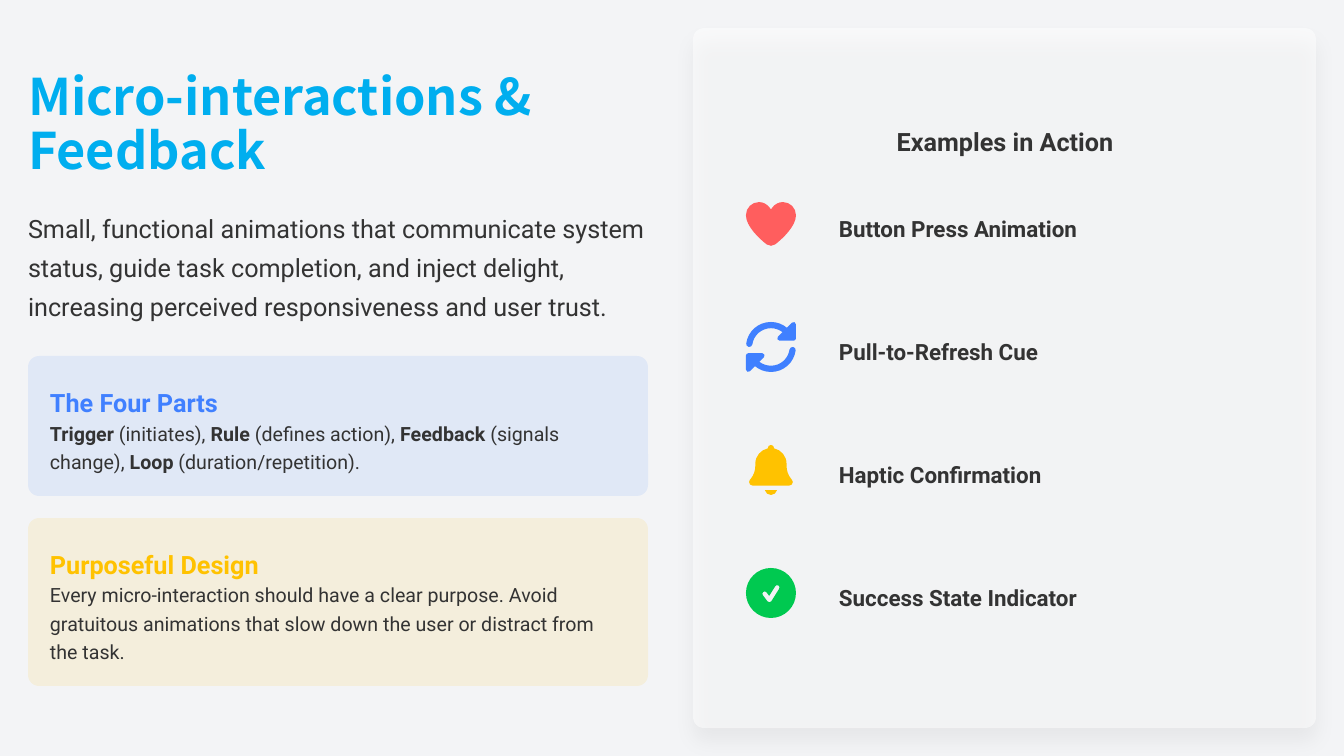
"""Builds a slide on micro-interactions: two tinted notes and a panel of icon examples."""
from lxml import etree
from pptx import Presentation, util as u
from pptx.dml import color as dml
from pptx.enum import shapes, text
from pptx.oxml import ns

PX = 914400 / 100.8
HUE = {
    "page": "F3F4F6", "sky": "00AEEF", "ink": "333333", "blue": "4080FF",
    "gold": "FFC200", "white": "FFFFFF", "red": "FF5E5E", "green": "00C950",
    "black": "000000",
}
SIDE = 50
GRID = 512
NOTES = [
    ("blue", 356, 140, "The Four Parts",
     "*Trigger* (initiates), *Rule* (defines action), *Feedback* (signals change), "
     "*Loop* (duration/repetition)."),
    ("gold", 518, 168, "Purposeful Design",
     "Every micro-interaction should have a clear purpose. Avoid gratuitous animations "
     "that slow down the user or distract from the task."),
]
HEART = """M 241 87 L 256 108 L 271 87 C 296 53 336 32 379 32 C 452 32 512 92 512 165
L 512 168 C 512 280 372 410 299 466 C 287 475 272 480 256 480 C 240 480 225 475 213 466
C 140 410 0 280 0 168 L 0 165 C 0 92 60 32 133 32 C 176 32 216 53 241 87"""
ARROW = """M 480 192 L 488 192 C 501 192 512 181 512 168 L 512 24 C 512 14 506 6 497 2
C 488 0 478 0 471 7 L 419 59 C 375 22 318 0 256 0 C 127 0 20 95 3 220
C 0 237 12 253 30 256 C 47 258 63 246 66 229 C 79 136 159 64 256 64
C 300 64 341 79 374 104 L 327 151 C 320 158 318 168 322 177 C 326 186 334 192 344 192
L 480 192"""
TURNED = " ".join(t if t.isalpha() else str(GRID - int(t)) for t in ARROW.split())
BELL = """M 256 0 C 238 0 224 14 224 32 L 224 35 C 151 50 96 115 96 192 L 96 214
C 96 262 80 308 50 346 L 40 358 C 35 365 32 372 32 380 C 32 400 48 416 68 416
L 444 416 C 464 416 480 400 480 380 C 480 372 477 365 472 358 L 462 346
C 432 308 416 262 416 214 L 416 192 C 416 115 361 50 288 35 L 288 32 C 288 14 274 0 256 0
M 194 464 C 201 492 226 512 256 512 C 286 512 311 492 318 464 L 194 464"""
CHECK = """M 256 512 C 397 512 512 397 512 256 C 512 115 397 0 256 0 C 115 0 0 115 0 256
C 0 397 115 512 256 512 M 340 213 L 260 341 C 256 347 249 352 241 352
C 233 352 226 349 221 342 L 173 278 C 165 268 167 253 178 245 C 188 237 203 239 211 250
L 238 286 L 300 187 C 307 176 322 172 333 179 C 344 186 347 201 340 213"""
ICONS = [
    ("Button Press Animation", 277, "red", HEART),
    ("Pull-to-Refresh Cue", 231, "blue", ARROW + " " + TURNED),
    ("Haptic Confirmation", 237, "gold", BELL),
    ("Success State Indicator", 276, "green", CHECK),
]

deck = Presentation()
deck.slide_width, deck.slide_height = u.Emu(round(1344 * PX)), u.Emu(round(756 * PX))
slide = deck.slides.add_slide(deck.slide_layouts[6])
slide.background.fill.solid()
slide.background.fill.fore_color.rgb = dml.RGBColor.from_string(HUE["page"])


def write(words, x, y, w, h, size=14, hue="ink", font="Roboto", bold=False, gap=1.3,
          align=text.PP_ALIGN.LEFT):
    box = slide.shapes.add_textbox(*(round(n * PX) for n in (x, y, w, h)))
    frame = box.text_frame
    frame.word_wrap = True
    frame.vertical_anchor = text.MSO_ANCHOR.MIDDLE
    frame.margin_left = frame.margin_right = frame.margin_top = frame.margin_bottom = 0
    para = frame.paragraphs[0]
    para.alignment, para.line_spacing = align, gap
    for i, part in enumerate(words.split("*")):
        if part:
            run = para.add_run()
            run.text = part
            run.font.size, run.font.name = u.Pt(size), font
            run.font.bold = bold or i % 2 == 1
            run.font.color.rgb = dml.RGBColor.from_string(HUE[hue])


def paint(shape, hue, alpha=100):
    shape.shadow.inherit = False
    shape.line.fill.background()
    shape.fill.solid()
    shape.fill.fore_color.rgb = dml.RGBColor.from_string(HUE[hue])
    if alpha < 100:
        tint = shape.fill._xPr.find(".//" + ns.qn("a:srgbClr"))
        etree.SubElement(tint, ns.qn("a:alpha"), val=str(alpha * 1000))


write("Micro-interactions & Feedback", 28, 70, 620, 112, size=36, hue="sky",
      font="Noto Sans CJK SC", bold=True, gap=0.9)
write("Small, functional animations that communicate system status, guide task "
      "completion, and inject delight, increasing perceived responsiveness and user trust.",
      28, 204, 620, 118, size=18)

cards = [(28, top, 620, high, hue, 10) for hue, top, high, _, _ in NOTES]
cards.append((693, 28, 623, 700, "white", 50))
for x, y, w, h, hue, alpha in cards:
    card = slide.shapes.add_shape(shapes.MSO_SHAPE.ROUNDED_RECTANGLE,
                                  *(round(n * PX) for n in (x, y, w, h)))
    card.adjustments[0] = 11 / min(w, h)
    paint(card, hue, alpha)

effects = card._element.spPr.find(ns.qn("a:effectLst"))
shade = etree.SubElement(effects, ns.qn("a:outerShdw"), blurRad=str(u.Pt(15)),
                         dist=str(u.Pt(10)), dir="5400000", algn="ctr", rotWithShape="0")
tone = etree.SubElement(shade, ns.qn("a:srgbClr"), val=HUE["black"])
etree.SubElement(tone, ns.qn("a:alpha"), val="10000")

for hue, top, high, head, body in NOTES:
    write(head, 50, top + 22, 601, 39, size=18, hue=hue, bold=True)
    write(body, 50, top + 61, 576, high - 84, gap=1.2)

write("Examples in Action", 876, 117, 258, 39, size=18, bold=True,
      align=text.PP_ALIGN.CENTER)

for row, (label, wide, hue, curve) in enumerate(ICONS):
    top = 199 + 123 * row
    pen = None
    for loop in curve.split("M")[1:]:
        nums = [int(t) for t in loop.split() if not t.isalpha()]
        start, *dots = zip(nums[::2], nums[1::2])
        if pen is None:
            pen = slide.shapes.build_freeform(*start, scale=SIDE * PX / GRID)
        else:
            pen.move_to(*start)
        pen.add_line_segments(dots, close=True)
    icon = pen.convert_to_shape(round(746 * PX), round(top * PX))
    paint(icon, hue)
    lines = iter(icon._element.findall(".//" + ns.qn("a:lnTo")))
    for kind in (t for t in curve.split() if t in "LC"):
        line = next(lines)
        if kind == "C":
            line.addprevious(bend := etree.Element(ns.qn("a:cubicBezTo")))
            for knot in (line, next(lines), next(lines)):
                bend.append(knot[0])
                knot.getparent().remove(knot)
    write(label, 839, top + 9, wide, 33, size=16, bold=True)

deck.save("out.pptx")
